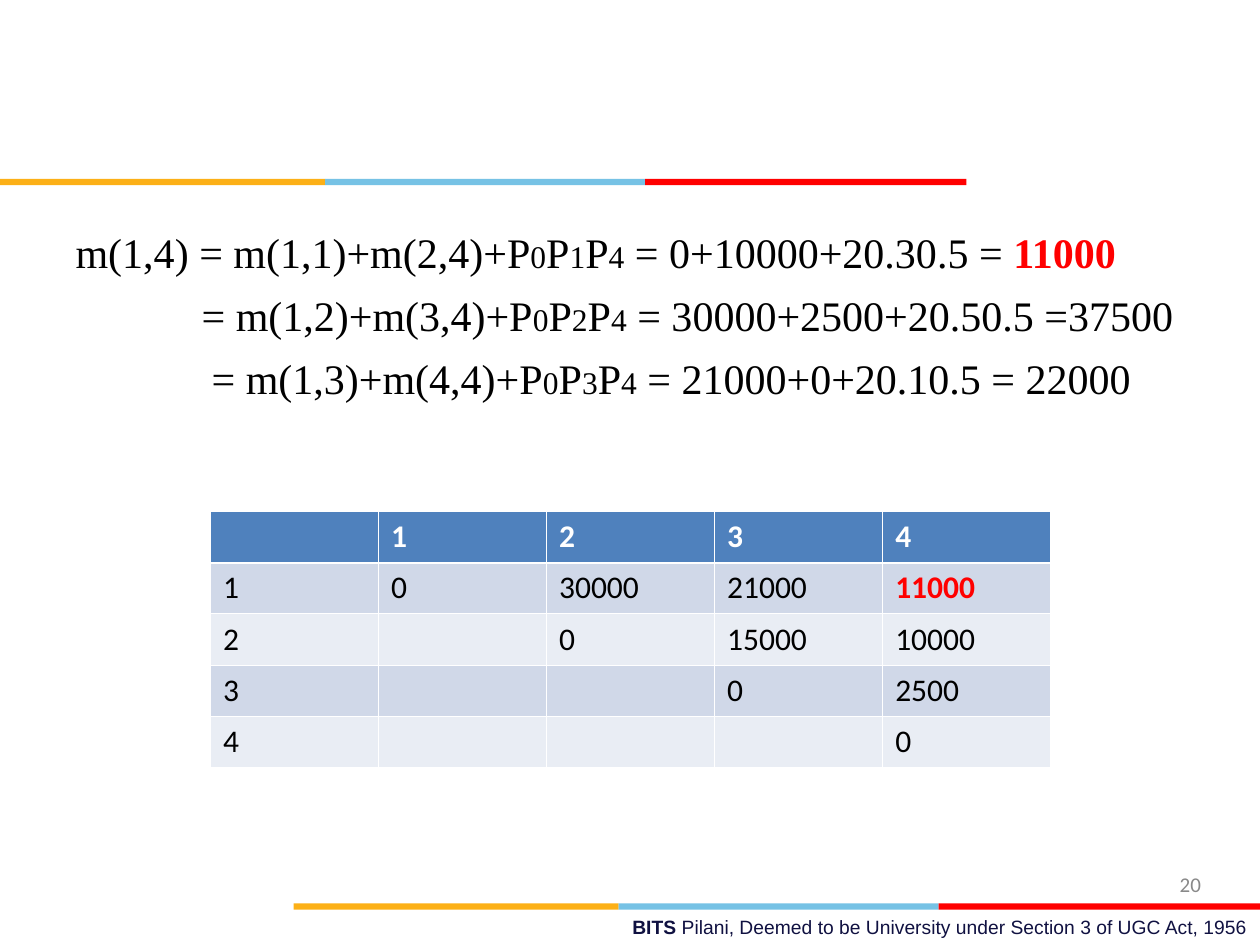
"""Build the matrix-chain cost slide: three cost equations above the m(i,j) table."""
from dataclasses import dataclass

from lxml.etree import SubElement
from pptx import Presentation
from pptx.dml.color import RGBColor
from pptx.enum.shapes import MSO_SHAPE
from pptx.enum.text import MSO_ANCHOR, MSO_AUTO_SIZE, PP_ALIGN
from pptx.oxml.ns import qn
from pptx.util import Inches, Pt


@dataclass(frozen=True)
class Theme:
    math_font: str = "Times New Roman"
    table_font: str = "Calibri"
    footer_font: str = "Arial"
    math_size: float = 24
    small_size: float = 18
    number_size: float = 12
    footer_size: float = 11
    black: str = "000000"
    white: str = "FFFFFF"
    red: str = "FF0000"
    navy: str = "101141"
    gray: str = "898989"
    header: str = "4F81BD"
    bands: tuple = ("D0D8E8", "E9EDF4")
    stripes: tuple = ("FCB017", "76C2E5", "FF0000")
    thin: float = 0.45
    thick: float = 1.47


THEME = Theme()
BEST = "11000"

EQUATIONS = [
    (0, "m(1,4) = m(1,1)+m(2,4)+P", "014", " = 0+10000+20.30.5 = ", BEST),
    (1, "= m(1,2)+m(3,4)+P", "024", " = 30000+2500+20.50.5 =37500", ""),
    (1.08, "= m(1,3)+m(4,4)+P", "034", " = 21000+0+20.10.5 = 22000", ""),
]
COSTS = [
    ["", "1", "2", "3", "4"],
    ["1", "0", "30000", "21000", BEST],
    ["2", "", "0", "15000", "10000"],
    ["3", "", "", "0", "2500"],
    ["4", "", "", "", "0"],
]
FOOTER = [("BITS ", True),
          ("Pilani, Deemed to be University under Section 3 of UGC Act, 1956", False)]
PAGE = "20"
STRIPE_WIDTHS = (2.58, 2.54, 2.55)
STRIPE_STARTS = [(0, 1.42), (2.33, 7.17)]


def add_run(paragraph, text, font, size, color, bold=False):
    run = paragraph.add_run()
    run.text = text
    run.font.name = font
    run.font.size = Pt(size)
    run.font.bold = bold
    run.font.color.rgb = RGBColor.from_string(color)


def add_stripes(slide, left, top):
    for width, color in zip(STRIPE_WIDTHS, THEME.stripes):
        stripe = slide.shapes.add_shape(
            MSO_SHAPE.RECTANGLE, Inches(left), Inches(top), Inches(width), Inches(0.05))
        stripe.shadow.inherit = False
        stripe.fill.solid()
        stripe.fill.fore_color.rgb = RGBColor.from_string(color)
        stripe.line.fill.background()
        left += width


def add_right_text(slide, left, top, width, height):
    box = slide.shapes.add_textbox(Inches(left), Inches(top), Inches(width), Inches(height))
    box.text_frame.word_wrap = True
    box.text_frame.vertical_anchor = MSO_ANCHOR.MIDDLE
    paragraph = box.text_frame.paragraphs[0]
    paragraph.alignment = PP_ALIGN.RIGHT
    return paragraph


def fill_equations(body):
    body.left, body.top, body.width, body.height = map(Inches, (0.5, 1.75, 9, 4.95))
    frame = body.text_frame
    frame.auto_size = MSO_AUTO_SIZE.NONE
    for index, (indent, start, factors, result, best) in enumerate(EQUATIONS):
        paragraph = frame.add_paragraph() if index else frame.paragraphs[0]
        paragraph.space_before = Pt(7)
        properties = paragraph._p.get_or_add_pPr()
        properties.set("marL", str(Inches(indent)))
        properties.set("indent", "0")
        SubElement(properties, qn("a:buNone"))
        pieces = [start, *"P".join(factors), result]
        for position, piece in enumerate(pieces):
            size = THEME.small_size if position % 2 else THEME.math_size
            add_run(paragraph, piece, THEME.math_font, size, THEME.black)
        if best:
            add_run(paragraph, best, THEME.math_font, THEME.math_size, THEME.red, True)


def set_borders(cell, **widths):
    properties = cell._tc.get_or_add_tcPr()
    for side in "LRTB":
        border = SubElement(properties, qn(f"a:ln{side}"),
                            w=str(Pt(widths.get(side, THEME.thin))))
        SubElement(SubElement(border, qn("a:solidFill")), qn("a:srgbClr"), val=THEME.white)


def add_cost_table(slide):
    table = slide.shapes.add_table(
        len(COSTS), len(COSTS[0]),
        Inches(1.67), Inches(4.06), Inches(6.67), Inches(2.03)).table
    for r, row in enumerate(COSTS):
        heavy = {0: {"B": THEME.thick}, 1: {"T": THEME.thick}}.get(r, {})
        fill = THEME.bands[(r - 1) % 2] if r else THEME.header
        for c, cost in enumerate(row):
            cell = table.cell(r, c)
            set_borders(cell, **heavy)
            cell.fill.solid()
            cell.fill.fore_color.rgb = RGBColor.from_string(fill)
            if cost:
                color = THEME.white if r == 0 else THEME.red if cost == BEST else THEME.black
                add_run(cell.text_frame.paragraphs[0], cost, THEME.table_font,
                        THEME.small_size, color, color != THEME.black)


def main():
    presentation = Presentation()
    presentation.slide_width, presentation.slide_height = Inches(10), Inches(7.5)
    slide = presentation.slides.add_slide(presentation.slide_layouts[1])
    title = slide.shapes.title
    title._element.getparent().remove(title._element)

    footer = add_right_text(slide, 3.58, 7.21, 6.42, 0.29)
    for text, bold in FOOTER:
        add_run(footer, text, THEME.footer_font, THEME.footer_size, THEME.navy, bold)
    for left, top in STRIPE_STARTS:
        add_stripes(slide, left, top)
    fill_equations(slide.placeholders[1])
    page_number = add_right_text(slide, 7.3, 6.82, 2.33, 0.4)
    add_run(page_number, PAGE, THEME.table_font, THEME.number_size, THEME.gray)
    add_cost_table(slide)
    presentation.save("out.pptx")


if __name__ == "__main__":
    main()
